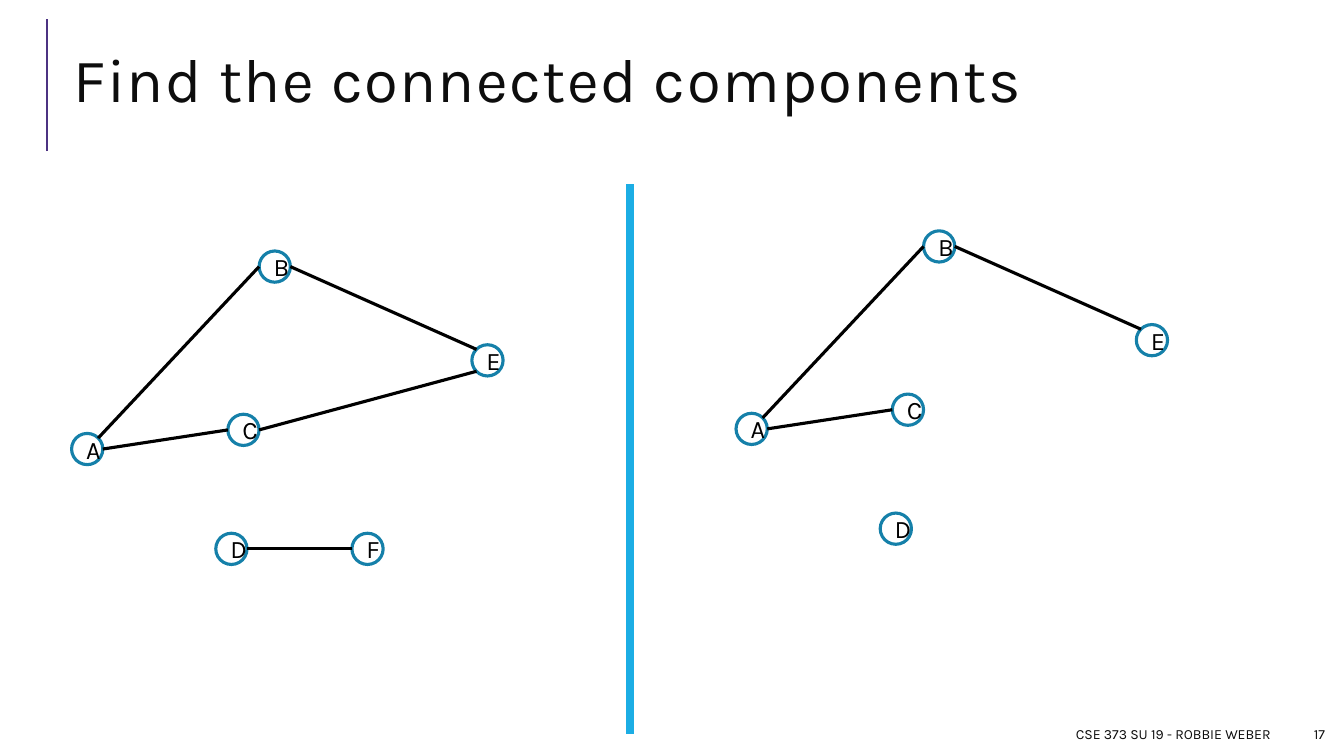
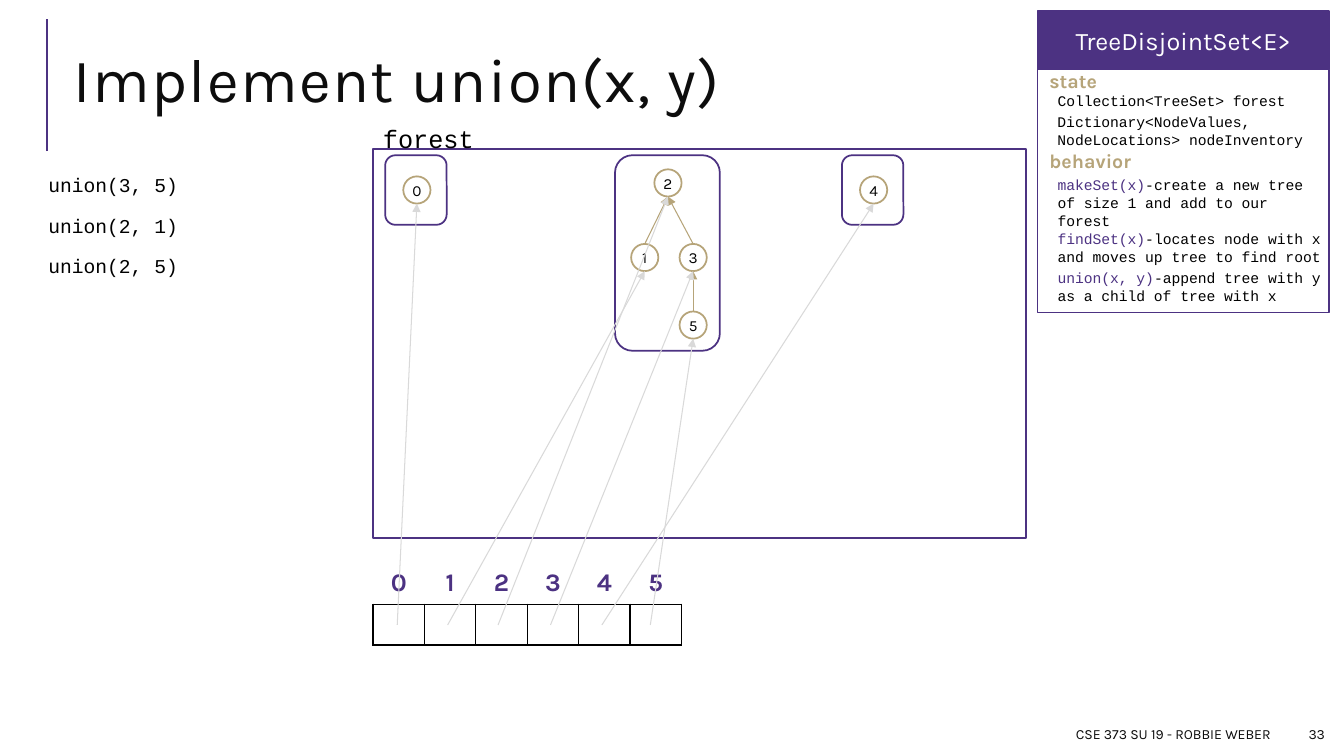
"""Build two lecture slides on connected components and disjoint sets."""
from dataclasses import dataclass
from typing import NamedTuple, Optional

from lxml import etree
from pptx import Presentation
from pptx.dml.color import RGBColor
from pptx.enum import shapes, text
from pptx.oxml import ns
from pptx.util import Inches, Pt


@dataclass(frozen=True)
class Theme:
    purple: RGBColor = RGBColor(0x4C, 0x32, 0x82)
    gold: RGBColor = RGBColor(0xB6, 0xA4, 0x79)
    teal: RGBColor = RGBColor(0x15, 0x80, 0xA9)
    blue: RGBColor = RGBColor(0x1C, 0xAD, 0xE4)
    grey: RGBColor = RGBColor(0xD9, 0xD9, 0xD9)
    ink: RGBColor = RGBColor(0x0D, 0x0D, 0x0D)
    black: RGBColor = RGBColor(0, 0, 0)
    white: RGBColor = RGBColor(0xFF, 0xFF, 0xFF)
    sans: str = "Karla"
    mono: str = "Courier New"
    title: float = 44
    body: float = 18
    small: float = 14
    node: float = 11
    code: float = 10.5
    footer: float = 10


T = Theme()
LEFT, CENTER, RIGHT = text.PP_ALIGN.LEFT, text.PP_ALIGN.CENTER, text.PP_ALIGN.RIGHT
TOP, MIDDLE = text.MSO_ANCHOR.TOP, text.MSO_ANCHOR.MIDDLE
RECT = shapes.MSO_SHAPE.RECTANGLE
ROUND = shapes.MSO_SHAPE.ROUNDED_RECTANGLE
OVAL = shapes.MSO_SHAPE.OVAL


class Box(NamedTuple):
    x: float
    y: float
    w: float
    h: float

    def at(self, fx: float, fy: float) -> tuple[float, float]:
        """Return the point at the given fractions of the box."""
        return self.x + fx * self.w, self.y + fy * self.h

    def lengths(self) -> list[int]:
        """Return the box as slide lengths."""
        return [Inches(v) for v in self]


class Edge(NamedTuple):
    start: str
    start_site: str
    end: str
    end_site: str


class TreeNode(NamedTuple):
    label: str
    x: float
    y: float
    slot_x: float
    parent: Optional[int] = None


class ApiEntry(NamedTuple):
    y: float
    w: float
    h: float
    call: str
    detail: str


SITES = {"left": (0, 0.5), "right": (1, 0.5),
         "top right": (0.85, 0.15), "top left": (0.15, 0.15), "bottom left": (0.15, 0.85)}
VERTEX, NODE = 0.31, 0.27
VERTICES = {"A": (0.71, 4.3), "B": (2.57, 2.49), "C": (2.26, 4.11),
            "D": (2.14, 5.29), "E": (4.68, 3.42), "F": (3.49, 5.29)}
SHARED_EDGES = [Edge("C", "left", "A", "right"), Edge("B", "right", "E", "top left"),
                Edge("B", "left", "A", "top right")]
LEFT_EDGES = SHARED_EDGES + [Edge("E", "bottom left", "C", "right"),
                             Edge("F", "left", "D", "right")]
TREE_NODES = [TreeNode("0", 4, 1.75, 3.94), TreeNode("1", 6.26, 2.42, 4.44, 2),
              TreeNode("2", 6.49, 1.68, 4.94), TreeNode("3", 6.74, 2.42, 5.46, 2),
              TreeNode("4", 8.53, 1.75, 5.97), TreeNode("5", 6.74, 3.09, 6.45, 3)]
TREE_BOXES = [Box(3.82, 1.54, 0.61, 0.69), Box(6.1, 1.54, 1.04, 1.94),
              Box(8.35, 1.54, 0.61, 0.69)]
API = [ApiEntry(0.86, 2.58, 0.28, "", "Collection<TreeSet> forest"),
       ApiEntry(1.07, 2.66, 0.45, "", "Dictionary<NodeValues, NodeLocations> nodeInventory"),
       ApiEntry(1.7, 2.79, 0.63, "makeSet(x)", "-create a new tree of size 1 and add to our forest"),
       ApiEntry(2.23, 3.05, 0.47, "findSet(x)",
                "-locates node with x and moves up tree to find root"),
       ApiEntry(2.62, 2.95, 0.47, "union(x, y)",
                "-append tree with y as a child of tree with x")]


def style(tf, size: float, color: RGBColor, font: str = T.sans, bold: bool = False,
          align=LEFT) -> None:
    """Format every paragraph and run of a text frame."""
    for p in tf.paragraphs:
        p.alignment = align
        for r in p.runs:
            r.font.name, r.font.size, r.font.bold = font, Pt(size), bold
            r.font.color.rgb = color


def add_text(s, box: Box, words: str, size: float, color: RGBColor, font: str = T.sans,
             bold: bool = False, align=LEFT, anchor=TOP, wrap: bool = True):
    """Add a text box and return its text frame."""
    tf = s.shapes.add_textbox(*box.lengths()).text_frame
    tf.word_wrap, tf.vertical_anchor = wrap, anchor
    tf.text = words
    style(tf, size, color, font, bold, align)
    return tf


def add_box(s, kind, box: Box, line: RGBColor, width: float = 1.25,
            fill: Optional[RGBColor] = None):
    """Add an outlined preset shape."""
    sp = s.shapes.add_shape(kind, *box.lengths())
    sp.shadow.inherit = False
    sp.line.color.rgb, sp.line.width = line, Pt(width)
    if fill is None:
        sp.fill.background()
    else:
        sp.fill.solid()
        sp.fill.fore_color.rgb = fill
    return sp


def add_line(s, start: tuple[float, float], end: tuple[float, float], color: RGBColor,
             width: float, arrow: bool = False) -> None:
    """Add a straight line, optionally ending in an arrowhead."""
    c = s.shapes.add_connector(shapes.MSO_CONNECTOR.STRAIGHT,
                               *(Inches(v) for v in (*start, *end)))
    c.line.color.rgb, c.line.width = color, Pt(width)
    spPr = c.element.spPr
    if arrow:
        etree.SubElement(spPr.find(ns.qn("a:ln")), ns.qn("a:tailEnd"), type="triangle")
    etree.SubElement(spPr, ns.qn("a:effectLst"))


def new_slide(prs, title: str, number: int):
    """Add a slide with the shared accent line, title and footer."""
    s = prs.slides.add_slide(prs.slide_layouts[6])
    add_line(s, (0.47, 1.5), (0.47, 0.19), T.purple, 1.5)
    tf = add_text(s, Box(0.63, 0.29, 12.23, 1.11), title, T.title, T.ink, anchor=MIDDLE)
    p = tf.paragraphs[0]
    p.line_spacing = 0.8
    p.runs[0].font._element.set("spc", "100")
    for box, words in ((Box(6.25, 7.13, 6.45, 0.3), "CSE 373 SU 19 - ROBBIE WEBER"),
                       (Box(12.78, 7.13, 0.46, 0.3), str(number))):
        add_text(s, box, words, T.footer, T.ink, align=RIGHT, anchor=MIDDLE)
    return s


def add_graph(s, names: str, edges: list[Edge], dx: float = 0, dy: float = 0) -> None:
    """Draw the named vertices and their edges, shifted by an offset."""
    boxes = {n: Box(VERTICES[n][0] + dx, VERTICES[n][1] + dy, VERTEX, VERTEX) for n in names}
    for name, box in boxes.items():
        tf = add_box(s, OVAL, box, T.teal, 2.25, T.white).text_frame
        tf.text = name
        style(tf, T.body, T.black, align=CENTER)
    for e in edges:
        add_line(s, boxes[e.start].at(*SITES[e.start_site]),
                 boxes[e.end].at(*SITES[e.end_site]), T.black, 2.25)


def add_forest(s) -> None:
    """Draw the forest frame, its tree outlines and nodes."""
    add_box(s, RECT, Box(3.7, 1.48, 6.48, 3.86), T.purple)
    add_text(s, Box(3.7, 1.17, 1.11, 0.4), "forest", T.body, T.black, T.mono, wrap=False)
    for box in TREE_BOXES:
        add_box(s, ROUND, box, T.purple)
    for n in TREE_NODES:
        tf = add_box(s, OVAL, Box(n.x, n.y, NODE, NODE), T.gold, fill=T.white).text_frame
        tf.margin_left = tf.margin_right = tf.margin_top = tf.margin_bottom = 0
        tf.word_wrap = False
        tf.text = n.label
        style(tf, T.node, T.black, align=CENTER)


def add_pointers(s) -> None:
    """Draw the arrows from children to parents and from slots to nodes."""
    boxes = [Box(n.x, n.y, NODE, NODE) for n in TREE_NODES]
    for n, box in zip(TREE_NODES, boxes):
        if n.parent is not None:
            add_line(s, box.at(0.5, 0), boxes[n.parent].at(0.5, 1), T.gold, 0.75, True)
    for n, box in zip(TREE_NODES, boxes):
        add_line(s, (n.slot_x, 6.2), box.at(0.5, 1), T.grey, 0.75, True)


def set_border(cell, sides: dict[str, RGBColor]) -> None:
    """Give the sides of a cell one-point borders."""
    tcPr = cell._tc.get_or_add_tcPr()
    for i, (side, color) in enumerate(sides.items()):
        ln = etree.Element(ns.qn(f"a:ln{side}"), w=str(Pt(1)))
        fill = etree.SubElement(ln, ns.qn("a:solidFill"))
        etree.SubElement(fill, ns.qn("a:srgbClr"), val=str(color))
        tcPr.insert(i, ln)


def add_inventory(s) -> None:
    """Draw the indexed array as a table."""
    size = len(TREE_NODES)
    tbl = s.shapes.add_table(2, size, *Box(3.7, 5.59, 0.51 * size, 0.81).lengths()).table
    tbl.first_row = tbl.horz_banding = False
    for i in range(size):
        head, slot = tbl.cell(0, i), tbl.cell(1, i)
        head.text = str(i)
        style(head.text_frame, T.body, T.purple, bold=True, align=CENTER)
        for cell, edge in ((head, T.white), (slot, T.black)):
            cell.fill.background()
            set_border(cell, {"L": edge, "R": edge, "T": edge, "B": T.black})


def add_api_card(s) -> None:
    """Draw the class card with its state and behavior."""
    add_box(s, RECT, Box(10.29, 0.69, 2.89, 2.41), T.purple)
    tf = add_box(s, RECT, Box(10.29, 0.11, 2.89, 0.58), T.purple, fill=T.purple).text_frame
    tf.text = "TreeDisjointSet<E>"
    style(tf, T.body, T.white, align=CENTER)
    for y, heading in ((0.63, "state"), (1.43, "behavior")):
        add_text(s, Box(10.31, y, 2.23, 0.34), heading, T.small, T.gold, bold=True)
    for e in API:
        tf = add_text(s, Box(10.39, e.y, e.w, e.h), e.call + e.detail, T.code, T.black, T.mono)
        if e.call:
            p = tf.paragraphs[0]
            p.runs[0].text = e.call
            p.add_run().text = e.detail
            style(tf, T.code, T.black, T.mono)
            p.runs[0].font.color.rgb = T.purple


def add_calls(s) -> None:
    """List the union calls."""
    tf = add_text(s, Box(0.33, 1.69, 2.27, 3.5), "union(3, 5)\nunion(2, 1)\nunion(2, 5)",
                  T.small, T.black, T.mono)
    tf.margin_left = Inches(0.15)
    tf.margin_right = tf.margin_top = tf.margin_bottom = Inches(0.05)
    for i, p in enumerate(tf.paragraphs):
        p.line_spacing = 0.9
        p.space_before, p.space_after = Pt(12 if i else 0), Pt(2)


def main() -> None:
    """Build and save the deck."""
    prs = Presentation()
    prs.slide_width, prs.slide_height = Inches(13.33), Inches(7.5)

    s = new_slide(prs, "Find the connected components", 17)
    add_graph(s, "ABCDEF", LEFT_EDGES)
    add_graph(s, "ABCDE", SHARED_EDGES, 6.59, -0.2)
    add_line(s, (6.25, 1.83), (6.25, 7.28), T.blue, 6)

    s = new_slide(prs, "Implement union(x, y)", 33)
    add_calls(s)
    add_forest(s)
    add_inventory(s)
    add_api_card(s)
    add_pointers(s)

    prs.save("out.pptx")


if __name__ == "__main__":
    main()
